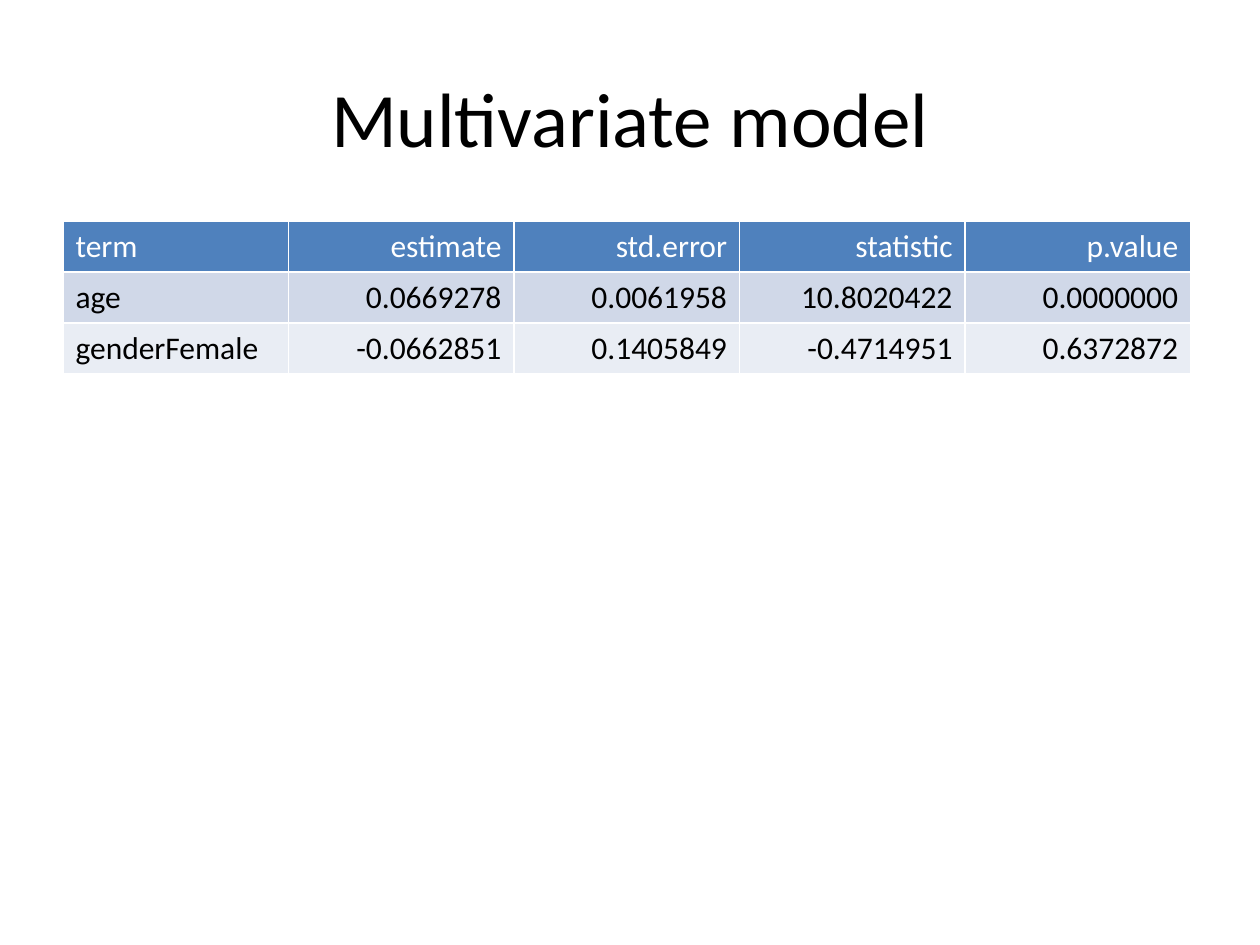
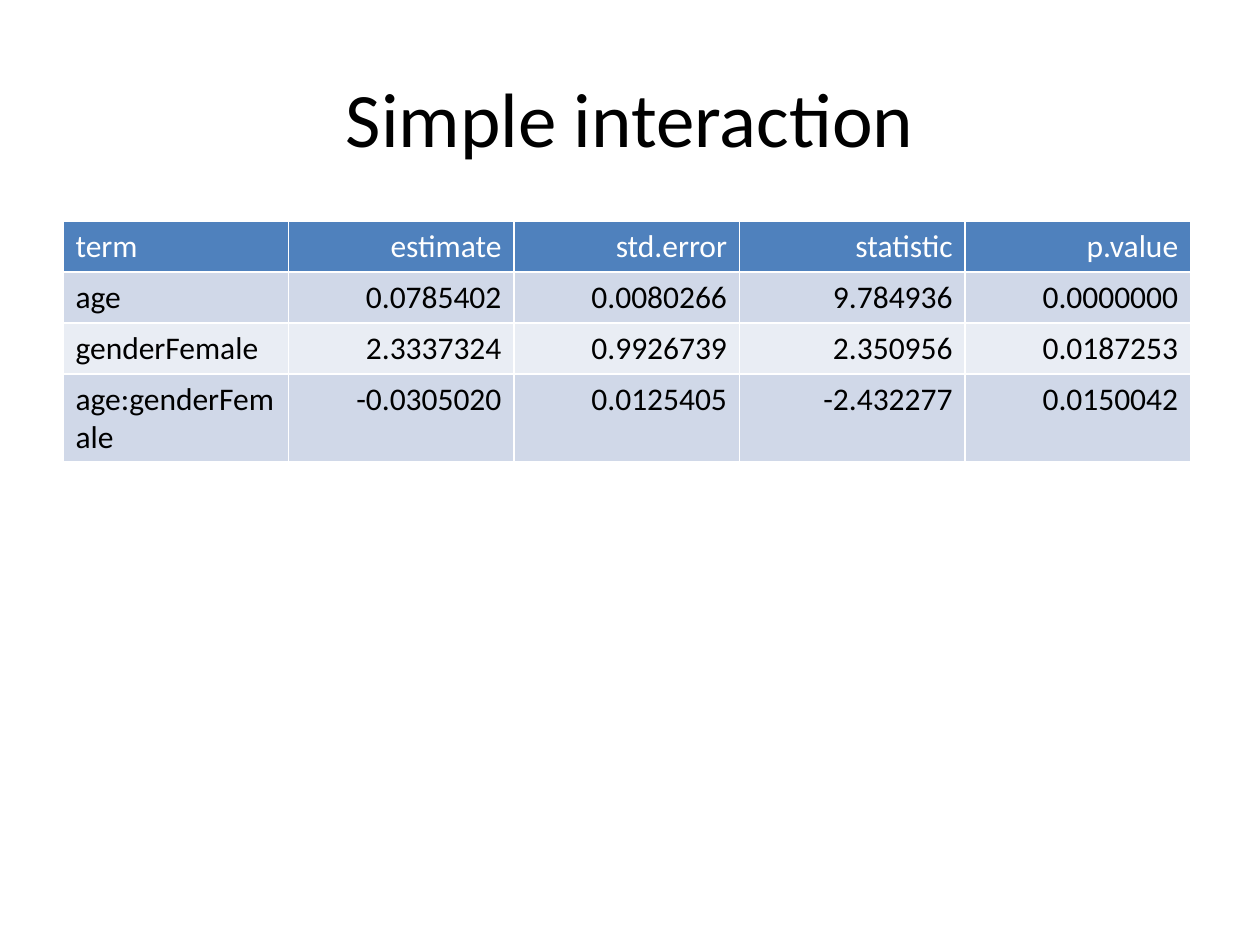
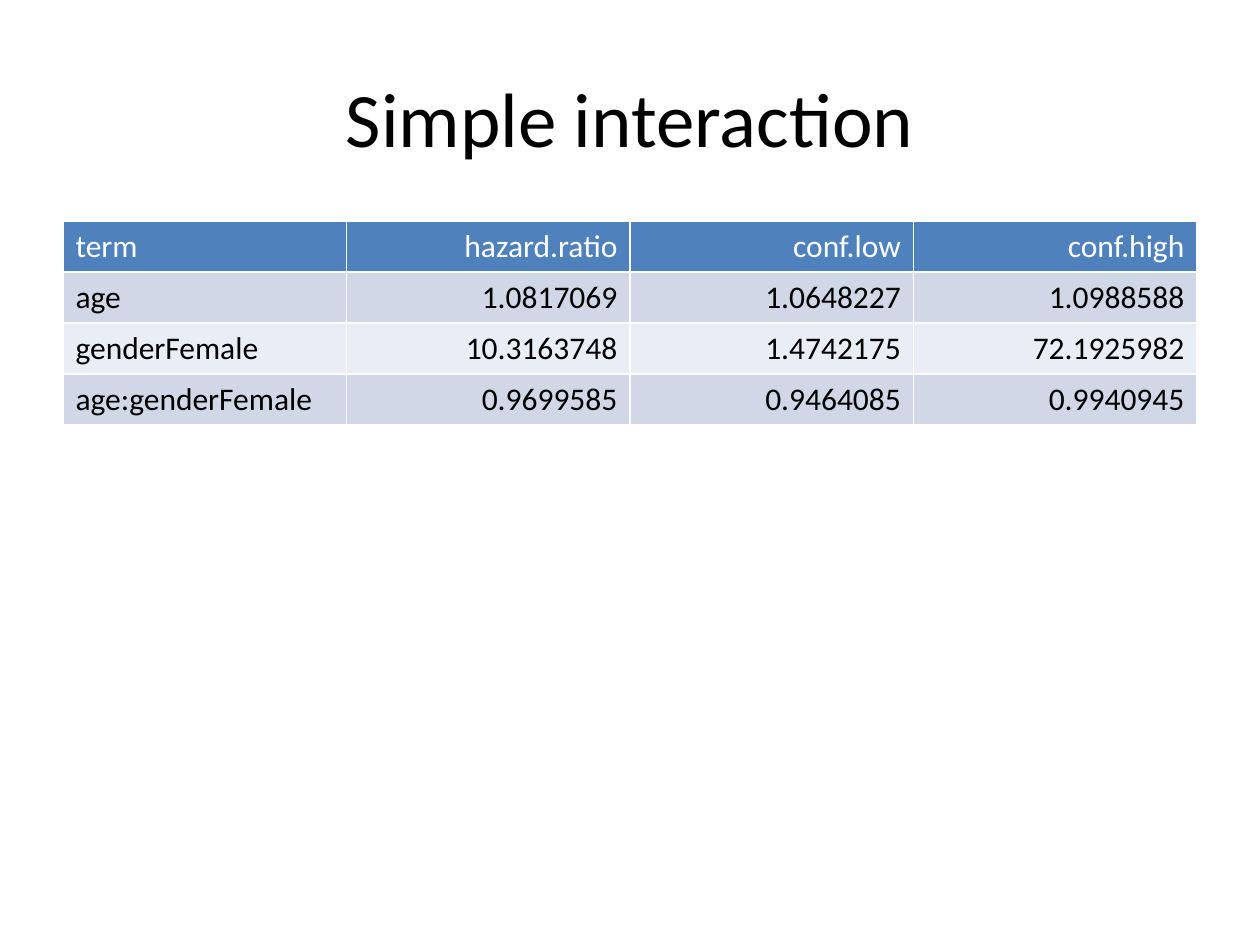
import dataclasses

import pptx
import pptx.dml.color
import pptx.enum.text
import pptx.oxml
import pptx.oxml.ns
import pptx.util

ALIGN = pptx.enum.text.PP_ALIGN
ANCHOR = pptx.enum.text.MSO_ANCHOR


@dataclasses.dataclass(frozen=True)
class Theme:
    font: str = "Calibri"
    title_size: int = 44
    table_size: int = 18
    text: str = "000000"
    header_text: str = "FFFFFF"
    header_fill: str = "4F81BD"
    band_fills: tuple = ("D0D8E8", "E9EDF4")
    border: str = "FFFFFF"
    border_width: int = 1


def px(length):
    """Turn pixels at 126 to the inch into EMU."""
    return pptx.util.Emu(round(length * 914400 / 126))


def rgb(value):
    return pptx.dml.color.RGBColor.from_string(value)


def write_text(frame, text, *, font, size, color, align=ALIGN.LEFT):
    paragraph = frame.paragraphs[0]
    paragraph.alignment = align
    run = paragraph.add_run()
    run.text = text
    run.font.name = font
    run.font.size = pptx.util.Pt(size)
    run.font.bold = False
    run.font.color.rgb = rgb(color)


class Deck:
    def __init__(self, theme):
        self.theme = theme
        self.presentation = pptx.Presentation()
        self.presentation.slide_width = px(1260)
        self.presentation.slide_height = px(945)
        self.slide = None

    def new_slide(self, title):
        self.slide = self.presentation.slides.add_slide(self.presentation.slide_layouts[6])
        self.title(title)

    def title(self, text):
        shape = self.slide.shapes.add_textbox(px(63), px(38), px(1134), px(157))
        frame = shape.text_frame
        frame.word_wrap = True
        frame.vertical_anchor = ANCHOR.MIDDLE
        write_text(frame, text, font=self.theme.font, size=self.theme.title_size,
                   color=self.theme.text, align=ALIGN.CENTER)

    def table(self, rows, width, row_height=51):
        column_count = len(rows[0])
        shape = self.slide.shapes.add_table(len(rows), column_count, px(63), px(221),
                                            px(width), px(row_height * len(rows)))
        table = shape.table
        for column in table.columns:
            column.width = px(width / column_count)
        for row_index, values in enumerate(rows):
            for column_index, value in enumerate(values):
                self.cell(table.cell(row_index, column_index), value, row_index, column_index)

    def cell(self, cell, value, row_index, column_index):
        theme = self.theme
        is_header = row_index == 0
        self.borders(cell)
        cell.fill.solid()
        cell.fill.fore_color.rgb = rgb(
            theme.header_fill if is_header else theme.band_fills[(row_index - 1) % 2])
        write_text(cell.text_frame, value, font=theme.font, size=theme.table_size,
                   color=theme.header_text if is_header else theme.text,
                   align=ALIGN.RIGHT if column_index else ALIGN.LEFT)

    def borders(self, cell):
        properties = cell._tc.get_or_add_tcPr()
        width = pptx.util.Pt(self.theme.border_width)
        for side in "LRTB":
            properties.append(pptx.oxml.parse_xml(
                f'<a:ln{side} {pptx.oxml.ns.nsdecls("a")} w="{width}"><a:solidFill>'
                f'<a:srgbClr val="{self.theme.border}"/></a:solidFill></a:ln{side}>'))


deck = Deck(Theme())
MODEL_HEADER = ("term", "estimate", "std.error", "statistic", "p.value")

# Multivariate model
deck.new_slide("Multivariate model")
deck.table([
    MODEL_HEADER,
    ("age", "0.0669278", "0.0061958", "10.8020422", "0.0000000"),
    ("genderFemale", "-0.0662851", "0.1405849", "-0.4714951", "0.6372872"),
], width=1128)

# Interaction: model coefficients
deck.new_slide("Simple interaction")
deck.table([
    MODEL_HEADER,
    ("age", "0.0785402", "0.0080266", "9.784936", "0.0000000"),
    ("genderFemale", "2.3337324", "0.9926739", "2.350956", "0.0187253"),
    ("age:genderFemale", "-0.0305020", "0.0125405", "-2.432277", "0.0150042"),
], width=1128)

# Interaction: hazard ratios
deck.new_slide("Simple interaction")
deck.table([
    ("term", "hazard.ratio", "conf.low", "conf.high"),
    ("age", "1.0817069", "1.0648227", "1.0988588"),
    ("genderFemale", "10.3163748", "1.4742175", "72.1925982"),
    ("age:genderFemale", "0.9699585", "0.9464085", "0.9940945"),
], width=1134)

deck.presentation.save("out.pptx")
